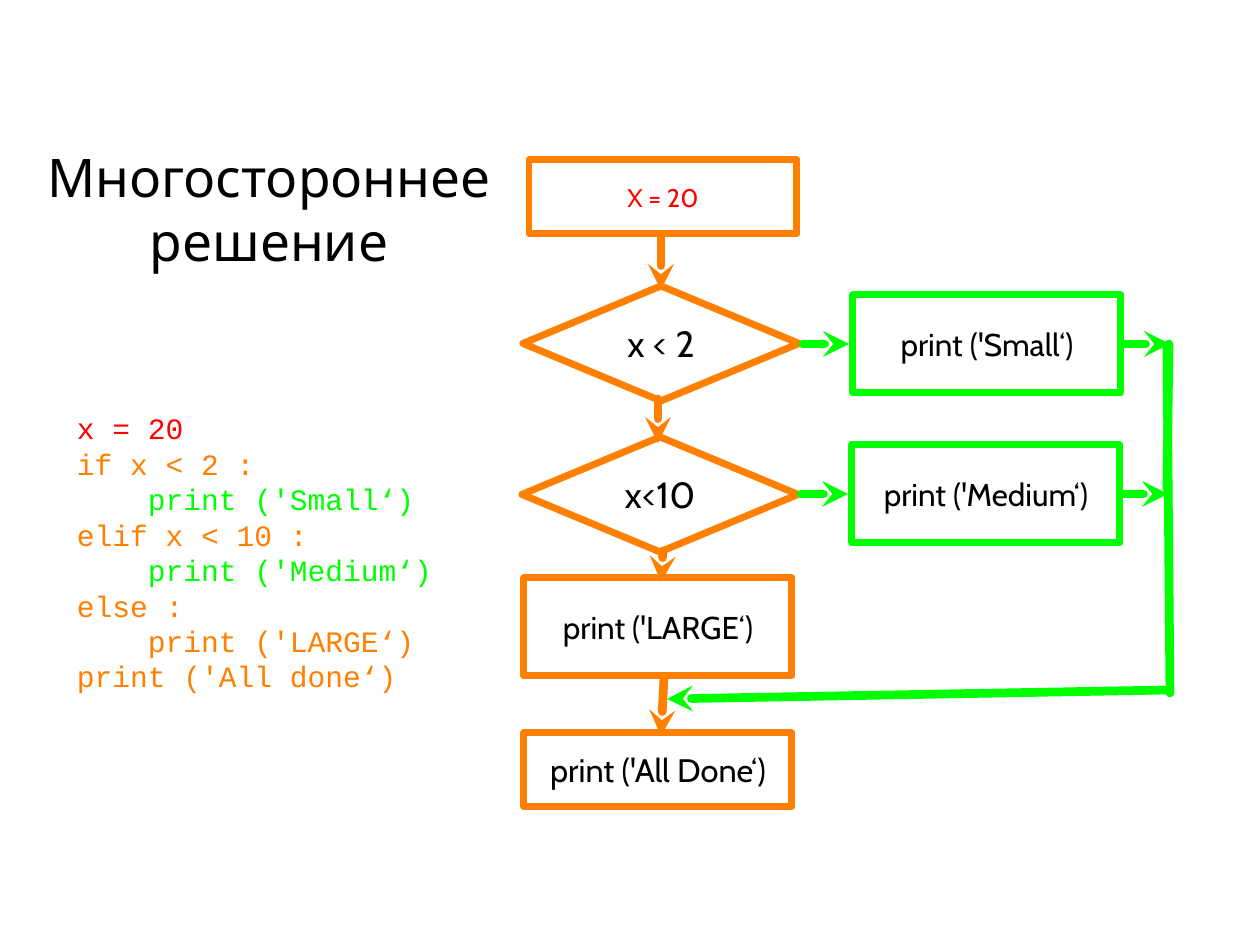
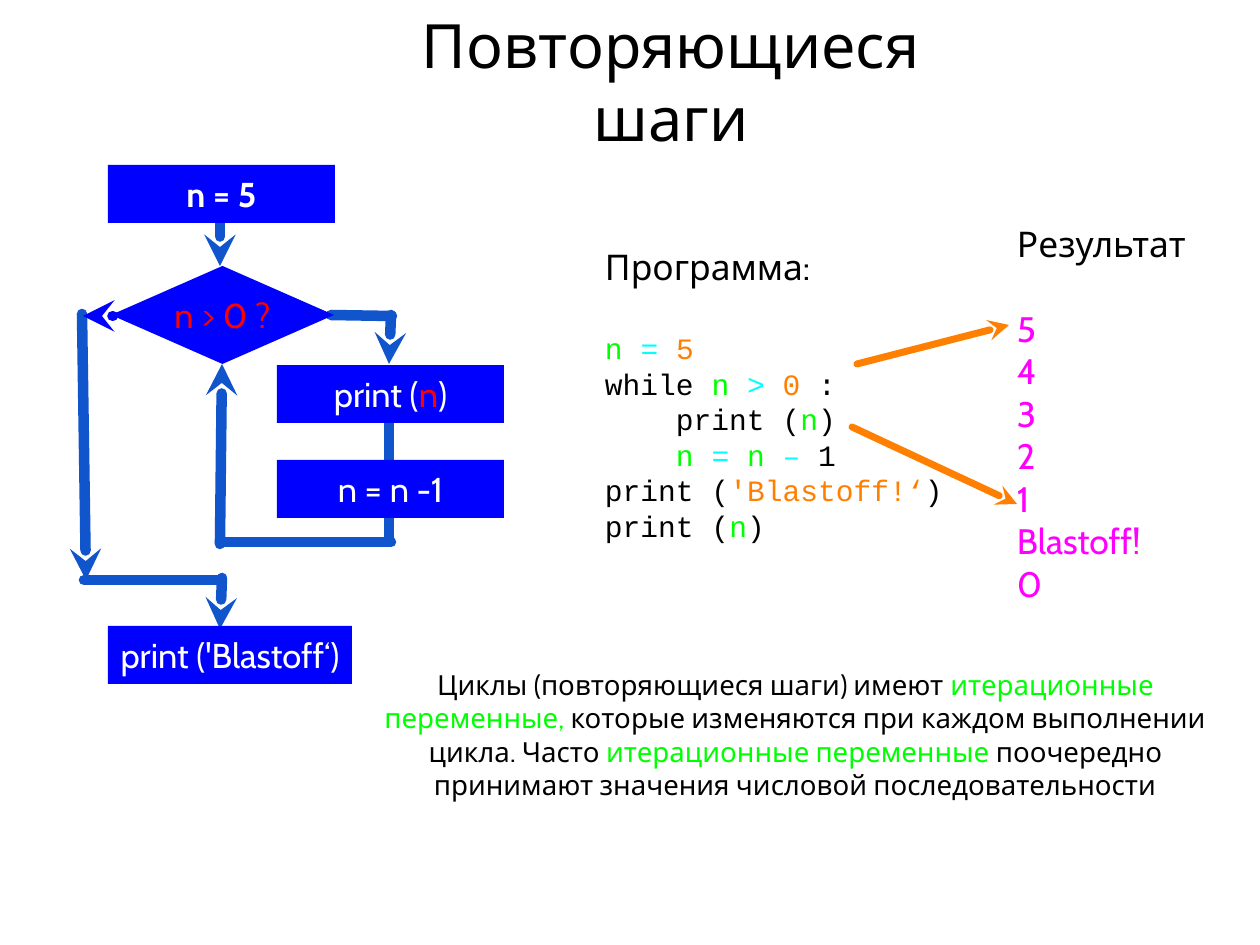
from lxml import etree
from pptx import Presentation
from pptx.dml.color import RGBColor
from pptx.enum import shapes, text
from pptx.oxml.ns import qn
from pptx.util import Pt

PX = 914400 / 126  # EMU per px
SLIDE_WIDTH, SLIDE_HEIGHT = 1260, 945

BLACK = RGBColor(0x00, 0x00, 0x00)
WHITE = RGBColor(0xFF, 0xFF, 0xFF)
RED = RGBColor(0xFF, 0x00, 0x00)
ORANGE = RGBColor(0xFF, 0x7F, 0x00)
GREEN = RGBColor(0x00, 0xFF, 0x00)
CYAN = RGBColor(0x00, 0xFF, 0xFF)
MAGENTA = RGBColor(0xFF, 0x00, 0xFF)
BLUE = RGBColor(0x00, 0x00, 0xFF)
STEEL = RGBColor(0x11, 0x55, 0xCC)

BODY_FONT, CODE_FONT = "Cabin", "Courier New"
CODE_SIZE = 16.9
LEFT, CENTER = text.PP_ALIGN.LEFT, text.PP_ALIGN.CENTER
RECTANGLE = shapes.MSO_SHAPE.RECTANGLE
DIAMOND = shapes.MSO_SHAPE.DIAMOND


def emu(*lengths):
    return [round(length * PX) for length in lengths]


def prepare_frame(shape, margin=0):
    frame = shape.text_frame
    frame.word_wrap = True
    frame.auto_size = text.MSO_AUTO_SIZE.NONE
    frame.vertical_anchor = text.MSO_ANCHOR.MIDDLE
    frame.margin_left = frame.margin_right = margin
    frame.margin_top = frame.margin_bottom = margin
    return frame


def write_paragraph(paragraph, runs, size, color=BLACK, font=BODY_FONT, align=LEFT):
    """Runs are one string, or (string, colour) pairs."""
    paragraph.alignment = align
    paragraph.font.name, paragraph.font.size = font, Pt(size)
    paragraph.font.color.rgb = color
    for content, run_color in [(runs, color)] if isinstance(runs, str) else runs:
        run = paragraph.add_run()
        run.text = content
        if run_color != color:
            run.font.color.rgb = run_color


def write_lines(frame, lines, size, **style):
    """Add lines below whatever the frame holds; return their paragraphs."""
    paragraphs = []
    for runs in lines:
        first = frame.paragraphs[0]
        paragraph = frame.add_paragraph() if first.runs else first
        write_paragraph(paragraph, runs, size, **style)
        paragraphs.append(paragraph)
    return paragraphs


def add_title_slide(presentation, title, box, size):
    slide = presentation.slides.add_slide(presentation.slide_layouts[5])
    shape = slide.shapes.title
    shape.left, shape.top, shape.width, shape.height = emu(*box)
    frame = prepare_frame(shape, margin=round(3 * PX))
    write_paragraph(frame.paragraphs[0], title, size, align=CENTER)
    return slide


def add_text_frame(slide, box):
    return prepare_frame(slide.shapes.add_textbox(*emu(*box)))


def add_node(slide, origin, kind, box, runs, size, color=BLACK,
             fill=None, outline=None):
    left, top, width, height = box
    shape = slide.shapes.add_shape(
        kind, *emu(origin[0] + left, origin[1] + top, width, height))
    shape.shadow.inherit = False
    if fill is None:
        shape.fill.background()
    else:
        shape.fill.solid()
        shape.fill.fore_color.rgb = fill
    if outline is None:
        shape.line.fill.background()
    else:
        shape.line.color.rgb = outline
        shape.line.width = Pt(4)
    frame = prepare_frame(shape)
    write_paragraph(frame.paragraphs[0], runs, size, color, align=CENTER)
    return frame


def add_link(slide, origin, ends, color, weight, arrow=True):
    x, y = origin
    x1, y1, x2, y2 = ends
    connector = slide.shapes.add_connector(
        shapes.MSO_CONNECTOR.STRAIGHT, *emu(x + x1, y + y1, x + x2, y + y2))
    connector.line.color.rgb = color
    connector.line.width = Pt(weight)
    line = connector.line._get_or_add_ln()
    line.set("cap", "rnd")
    etree.SubElement(line, qn("a:round"))
    if arrow:
        etree.SubElement(line, qn("a:tailEnd"), type="stealth")
    etree.SubElement(connector._element.spPr, qn("a:effectLst"))


# Slide 1: multi-way decision
def add_decision_code(slide, box):
    lines = [
        ("x = 20", RED),
        ("if x < 2 :", ORANGE),
        ("    print ('Small‘)", GREEN),
        ("elif x < 10 :", ORANGE),
        ("    print ('Medium‘)", GREEN),
        ("else :", ORANGE),
        ("    print ('LARGE‘)", ORANGE),
        ("print ('All done‘)", ORANGE),
    ]
    frame = add_text_frame(slide, box)
    for content, color in lines:
        write_lines(frame, [content], CODE_SIZE, color=color, font=CODE_FONT)


def add_decision_flowchart(slide, origin):
    # Main path, then the two branches
    nodes = [
        (RECTANGLE, (9, 0, 268, 74), "X = 20", 14.6, RED, ORANGE),
        (DIAMOND, (3, 126, 276, 115), "x < 2", 20.8, BLACK, ORANGE),
        (DIAMOND, (2, 277, 276, 115), "x<10", 20.8, BLACK, ORANGE),
        (RECTANGLE, (4, 418, 268, 98), "print ('LARGE‘)", 18, BLACK, ORANGE),
        (RECTANGLE, (4, 573, 268, 74), "print ('All Done‘)", 18.6, BLACK, ORANGE),
        (RECTANGLE, (333, 135, 268, 98), "print ('Small‘)", 18, BLACK, GREEN),
        (RECTANGLE, (332, 285, 268, 98), "print ('Medium‘)", 18, BLACK, GREEN),
    ]
    for kind, box, label, size, color, outline in nodes:
        add_node(slide, origin, kind, box, label, size, color, outline=outline)

    down_arrows = [(141, 77, 141, 130), (138, 239, 138, 283),
                   (143, 391, 141, 422), (144, 518, 141, 576)]
    for ends in down_arrows:
        add_link(slide, origin, ends, ORANGE, 5)

    branch_arrows = [(283, 184, 329, 184), (281, 334, 328, 334),
                     (605, 184, 650, 184), (601, 334, 648, 334),
                     (649, 530, 147, 539)]
    for ends in branch_arrows:
        add_link(slide, origin, ends, GREEN, 5)
    for ends in [(647, 185, 650, 533), (647, 329, 649, 184)]:
        add_link(slide, origin, ends, GREEN, 5, arrow=False)


def build_decision_slide(presentation):
    slide = add_title_slide(presentation, "Многостороннее решение",
                            (-13, 144, 564, 129), 30.4)
    add_decision_code(slide, (77, 355, 391, 344 + 50))
    add_decision_flowchart(slide, (520, 160))


# Slide 2: repeated steps
def add_loop_flowchart(slide, origin):
    nodes = [
        (RECTANGLE, (28, 0, 227, 58), "n = 5", WHITE),
        (DIAMOND, (31, 101, 223, 98), "n > 0 ?", RED),
        (RECTANGLE, (197, 200, 227, 58),
         [("print (", WHITE), ("n", RED), (")", WHITE)], WHITE),
        (RECTANGLE, (197, 295, 227, 58), "n = n -1", WHITE),
        (RECTANGLE, (28, 461, 244, 58), "print ('Blastoff‘)", WHITE),
    ]
    # Links behind the nodes
    arrows = [(140, 57, 140, 101), (140, 379, 142, 199), (311, 150, 309, 199),
              (142, 413, 140, 464), (2, 149, 6, 415)]
    plain_lines = [(312, 151, 251, 150), (309, 214, 309, 376),
                   (140, 377, 311, 377), (4, 415, 140, 415)]
    for ends in arrows:
        add_link(slide, origin, ends, STEEL, 6)
    for ends in plain_lines:
        add_link(slide, origin, ends, STEEL, 6, arrow=False)
    add_link(slide, origin, (33, 151, 3, 151), BLUE, 6)

    frames = [add_node(slide, origin, kind, box, runs, 19.7, color, fill=BLUE)
              for kind, box, runs, color in nodes]
    frames[0].paragraphs[0].font.bold = True


def add_headed_list(slide, box, heading, lines, size, **style):
    frame = add_text_frame(slide, box)
    write_lines(frame, [heading], 20.2)
    paragraphs = write_lines(frame, lines, size, **style)
    paragraphs[0].space_before = Pt(24.5)


def add_loop_code(slide, box):
    name = ("n", GREEN)
    lines = [
        [("n ", GREEN), ("= ", CYAN), ("5", ORANGE)],
        [("while ", BLACK), ("n ", GREEN), ("> ", CYAN), ("0 ", ORANGE), (":", BLACK)],
        [("    print (", BLACK), name, (")", BLACK)],
        [("    n ", GREEN), ("= ", CYAN), ("n ", GREEN), ("– ", CYAN), ("1", BLACK)],
        [("print (", BLACK), ("'Blastoff!‘", ORANGE), (")", BLACK)],
        [("print (", BLACK), name, (")", BLACK)],
    ]
    add_headed_list(slide, box, "Программа:", lines, CODE_SIZE, font=CODE_FONT)


def add_loop_note(slide, box):
    runs = [
        ("Циклы (повторяющиеся шаги) имеют ", BLACK),
        ("итерационные переменные, ", GREEN),
        ("которые изменяются при каждом выполнении цикла. Часто ", BLACK),
        ("итерационные переменные ", GREEN),
        ("поочередно принимают значения числовой последовательности", BLACK),
    ]
    write_lines(add_text_frame(slide, box), [runs], 15.8, align=CENTER)


def build_loop_slide(presentation):
    slide = add_title_slide(presentation, "Повторяющиеся шаги",
                            (343, 16, 656, 129), 34.9)
    add_loop_flowchart(slide, (80, 165))
    add_loop_code(slide, (605, 222, 347, 344))
    add_headed_list(slide, (1017, 227, 208, 372), "Результат",
                    ["5", "4", "3", "2", "1", "Blastoff!", "0"], 20.2, color=MAGENTA)
    # Arrows from the code to its output
    for ends in [(857, 364, 1009, 325), (852, 427, 1017, 504)]:
        add_link(slide, (0, 0), ends, ORANGE, 4)
    add_loop_note(slide, (362, 670, 867, 129))


def main():
    presentation = Presentation()
    presentation.slide_width, presentation.slide_height = emu(SLIDE_WIDTH, SLIDE_HEIGHT)
    build_decision_slide(presentation)
    build_loop_slide(presentation)
    presentation.save("out.pptx")


if __name__ == "__main__":
    main()
